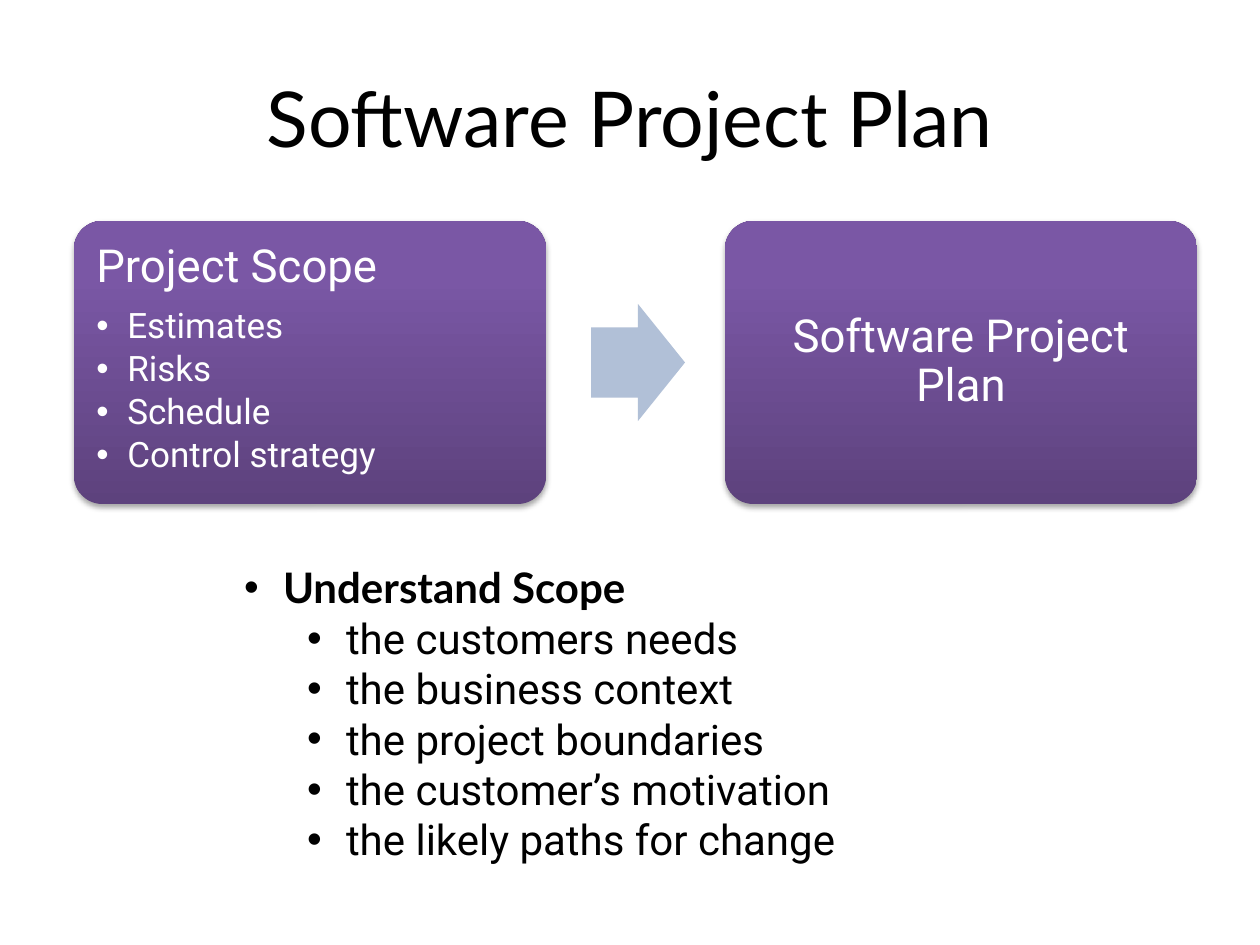
from dataclasses import dataclass

from lxml.etree import SubElement
from pptx import Presentation
from pptx.dml.color import RGBColor
from pptx.enum.shapes import MSO_SHAPE as Shape
from pptx.enum.text import MSO_ANCHOR as Anchor, MSO_AUTO_SIZE as AutoSize, PP_ALIGN as Align
from pptx.oxml import parse_xml
from pptx.oxml.ns import nsdecls, qn
from pptx.util import Emu, Pt

PX_PER_INCH = 126


@dataclass(frozen=True)
class Theme:
    heading_font: str = "Lato"
    body_font: str = "Roboto"
    dark: str = "000000"
    light: str = "FFFFFF"
    arrow: str = "B1C0D7"
    card_stops: tuple = ((0, "5D427D"), (80, "7A57A5"), (100, "7A56A7"))
    title_size: int = 44
    card_size: int = 26
    item_size: int = 20
    list_size: int = 24


THEME = Theme()


def px(length):
    return Emu(round(length * 914400 / PX_PER_INCH))


def set_all(target, values):
    for name, value in values.items():
        setattr(target, name, value)


def set_frame(frame, inset_x, inset_y, anchor):
    set_all(frame, dict(word_wrap=True, vertical_anchor=anchor,
                        margin_left=px(inset_x), margin_right=px(inset_x),
                        margin_top=px(inset_y), margin_bottom=px(inset_y)))


def add_bullet(para, color, margin, hang):
    props = para._p.get_or_add_pPr()
    props.set("marL", str(px(margin)))
    props.set("indent", str(-px(hang)))
    bullet_color = SubElement(props, qn("a:buClr"))
    SubElement(bullet_color, qn("a:srgbClr"), val=color)
    SubElement(props, qn("a:buFont"), typeface="Arial")
    SubElement(props, qn("a:buChar"), char="•")


def write_para(frame, text, font, size, color, bold=False, bullet=None, **layout):
    """Fill the frame's empty first paragraph, or add one; bullet is (margin, hang)."""
    para = frame.paragraphs[0]
    if para.runs:
        para = frame.add_paragraph()
    set_all(para, layout)
    if bullet:
        add_bullet(para, color, *bullet)
    span = para.add_run()
    span.text = text
    set_all(span.font, dict(name=font, size=Pt(size), bold=bold))
    span.font.color.rgb = RGBColor.from_string(color)


def add_shape(page, kind, bounds, adjustments):
    shape = page.shapes.add_shape(kind, *map(px, bounds))
    for index, value in enumerate(adjustments):
        shape.adjustments[index] = value
    shape.line.fill.background()
    shape.shadow.inherit = False
    return shape


def add_card(page, left, anchor):
    """Add a rounded purple card and return its text frame."""
    card = add_shape(page, Shape.ROUNDED_RECTANGLE, (left, 221, 472, 283), [0.1])
    stops = "".join(f'<a:gs pos="{position * 1000}"><a:srgbClr val="{color}"/></a:gs>'
                    for position, color in THEME.card_stops)
    props = card._element.spPr
    props.find(qn("a:ln")).addprevious(parse_xml(
        f'<a:gradFill {nsdecls("a")} rotWithShape="1"><a:gsLst>{stops}</a:gsLst>'
        '<a:lin ang="16200000" scaled="0"/></a:gradFill>'))
    props.find(qn("a:effectLst")).append(parse_xml(
        f'<a:outerShdw {nsdecls("a")} blurRad="{Pt(3.1)}" dist="{Pt(1.8)}" dir="5400000" '
        f'rotWithShape="0"><a:srgbClr val="{THEME.dark}"><a:alpha val="35000"/>'
        '</a:srgbClr></a:outerShdw>'))
    set_frame(card.text_frame, 14, 14, anchor)
    return card.text_frame


def add_title(page, text):
    title = page.shapes.title
    set_all(title, dict(zip(("left", "top", "width", "height"), map(px, (63, 38, 1134, 158)))))
    set_frame(title.text_frame, 13, 6, Anchor.MIDDLE)
    write_para(title.text_frame, text, THEME.heading_font, THEME.title_size, THEME.dark,
               alignment=Align.CENTER)


def add_scope_card(page, heading, items):
    frame = add_card(page, 74, Anchor.TOP)
    layout = dict(alignment=Align.LEFT, line_spacing=0.9)
    write_para(frame, heading, THEME.body_font, THEME.card_size, THEME.light, **layout)
    for index, item in enumerate(items):
        write_para(frame, item, THEME.body_font, THEME.item_size, THEME.light,
                   bullet=(31, 31), level=1, space_before=Pt(3 if index else 9.1), **layout)


def add_plan_card(page, text):
    frame = add_card(page, 725, Anchor.MIDDLE)
    write_para(frame, text, THEME.body_font, THEME.card_size, THEME.light,
               alignment=Align.CENTER, line_spacing=0.9)


def add_arrow(page):
    arrow = add_shape(page, Shape.RIGHT_ARROW, (591, 304, 94, 117), [0.6, 0.5])
    arrow.fill.solid()
    arrow.fill.fore_color.rgb = RGBColor.from_string(THEME.arrow)


def add_list(page, heading, items):
    frame = page.shapes.add_textbox(*map(px, (231, 556, 840, 318))).text_frame
    set_frame(frame, 13, 6, Anchor.TOP)
    frame.auto_size = AutoSize.SHAPE_TO_FIT_TEXT
    write_para(frame, heading, THEME.heading_font, THEME.list_size, THEME.dark,
               bold=True, bullet=(39, 39))
    for item in items:
        write_para(frame, item, THEME.body_font, THEME.list_size, THEME.dark,
                   bullet=(102, 39), level=1)


def main():
    deck = Presentation()
    set_all(deck, dict(slide_width=px(1260), slide_height=px(945)))
    page = deck.slides.add_slide(deck.slide_layouts[5])
    add_title(page, "Software Project Plan")
    add_scope_card(page, "Project Scope",
                   ["Estimates", "Risks", "Schedule", "Control strategy"])
    add_arrow(page)
    add_plan_card(page, "Software Project Plan")
    add_list(page, "Understand Scope",
             ["the customers needs", "the business context", "the project boundaries",
              "the customer’s motivation", "the likely paths for change"])
    deck.save("out.pptx")


if __name__ == "__main__":
    main()
